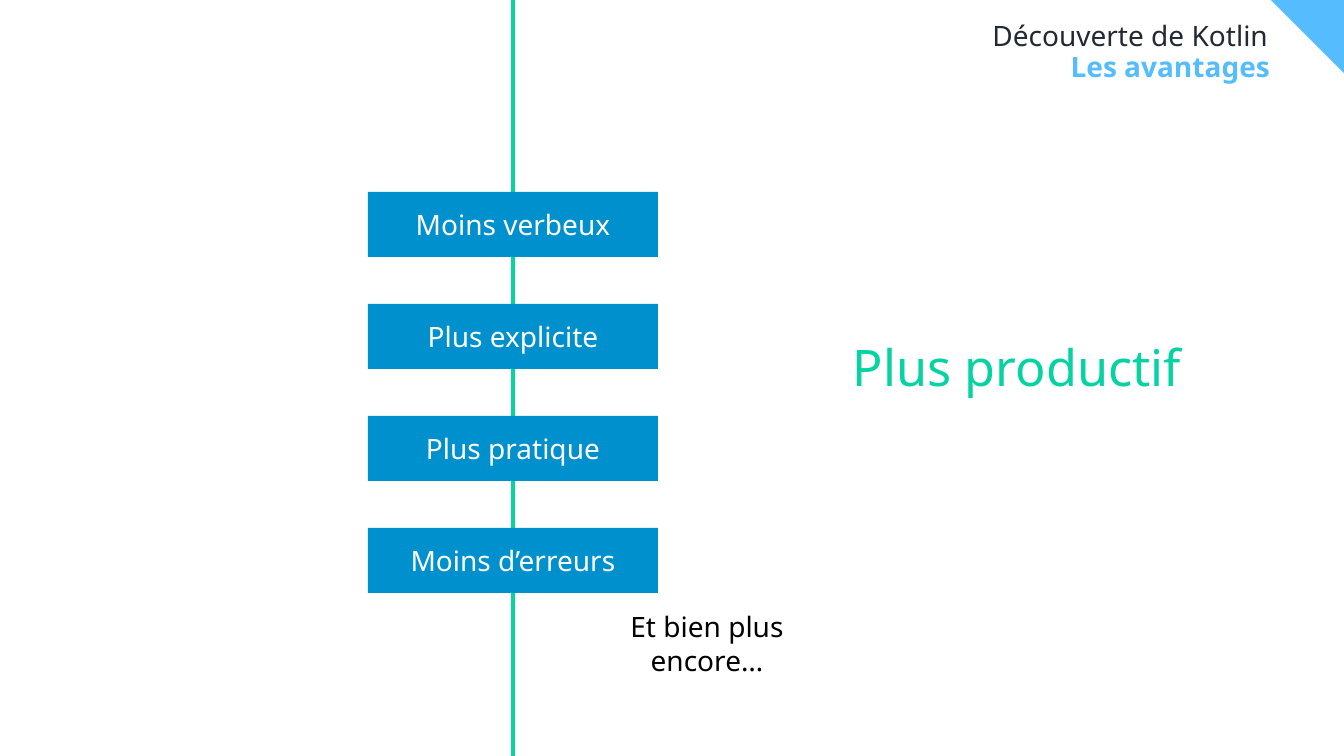
from lxml import etree
from pptx import Presentation
from pptx import util as u
from pptx.dml.color import RGBColor
from pptx.enum import shapes, text
from pptx.oxml.ns import qn

SCALE = 914400 / 100.8  # EMU per pixel
FONT = "Noto Sans"
COLORS = {
    "sky": "55BDFD",
    "ink": "222933",
    "green": "07D3A2",
    "blue": "0090CD",
    "white": "FFFFFF",
    "black": "000000",
}
ADVANTAGES = ["Moins verbeux", "Plus explicite", "Plus pratique", "Moins d’erreurs"]


def px(value):
    return u.Emu(round(value * SCALE))


def color(name):
    return RGBColor.from_string(COLORS[name])


def write(shape, words, ink, size=20, bold=False, align="CENTER",
          anchor="MIDDLE", insets=(10, 8), spacing=None):
    """Put one styled paragraph in a shape."""
    frame = shape.text_frame
    frame.word_wrap = True
    frame.vertical_anchor = text.MSO_ANCHOR[anchor]
    frame.margin_left = frame.margin_right = px(insets[0])
    frame.margin_top = frame.margin_bottom = px(insets[1])
    para = frame.paragraphs[0]
    para.alignment = text.PP_ALIGN[align]
    if spacing:
        para.line_spacing = spacing
    span = para.add_run()
    span.text = words
    span.font.name = FONT
    span.font.size = u.Pt(size)
    span.font.bold = bold
    span.font.color.rgb = color(ink)


def add_text(page, box, words, ink, **style):
    label = page.shapes.add_textbox(*map(px, box))
    write(label, words, ink, **style)
    return label


def add_corner(page, box):
    """Triangle filling the upper right half of the box."""
    left, top, width, height = box
    builder = page.shapes.build_freeform(left, top, scale=SCALE)
    builder.add_line_segments([(left + width, top), (left + width, top + height)])
    corner = builder.convert_to_shape()
    corner.shadow.inherit = False
    corner.fill.solid()
    corner.fill.fore_color.rgb = color("sky")
    corner.line.fill.background()


def add_header(page, box):
    """Course title above the section title, both flush right."""
    left, top, width, height = box
    style = dict(align="RIGHT", anchor="TOP", insets=(0, 0), spacing=0.9)
    add_text(page, (left, top, width - 2, 31), "Découverte de Kotlin", "ink", **style)
    add_text(page, (left, top + 31, width, height - 31), "Les avantages", "sky",
             bold=True, **style)


def add_timeline(page, box):
    """Vertical line with evenly spaced advantages centred on it."""
    left, top, width, height = box
    middle = left + width / 2
    line = page.shapes.add_connector(
        shapes.MSO_CONNECTOR.STRAIGHT, px(middle), px(top), px(middle), px(top + height))
    line.line.color.rgb = color("green")
    line.line.width = u.Pt(3)
    etree.SubElement(line._element.spPr, qn("a:effectLst"))

    first, pitch, bar_height = 192, 112, 65
    for row, words in enumerate(ADVANTAGES):
        bar_box = (left, top + first + row * pitch, width, bar_height)
        bar = page.shapes.add_shape(shapes.MSO_SHAPE.RECTANGLE, *map(px, bar_box))
        bar.shadow.inherit = False
        bar.fill.solid()
        bar.fill.fore_color.rgb = color("blue")
        bar.line.fill.background()
        write(bar, words, "white")

    # Closing remark, offset to the right below the last bar
    add_text(page, (left + 194, top + 611, width, bar_height),
             "Et bien plus encore…", "black")


def add_conclusion(page, box):
    label = add_text(page, box, "Plus productif", "green", size=36,
                     anchor="BOTTOM", insets=(10, 5))
    label.text_frame.auto_size = text.MSO_AUTO_SIZE.SHAPE_TO_FIT_TEXT


deck = Presentation()
deck.slide_width, deck.slide_height = px(1344), px(756)
page = deck.slides.add_slide(deck.slide_layouts[6])

add_corner(page, (1270, -1, 76, 76))
add_header(page, (37, 22, 1233, 74))
add_conclusion(page, (772, 331, 490, 71))
add_timeline(page, (368, 0, 290, 778))

deck.save("out.pptx")
